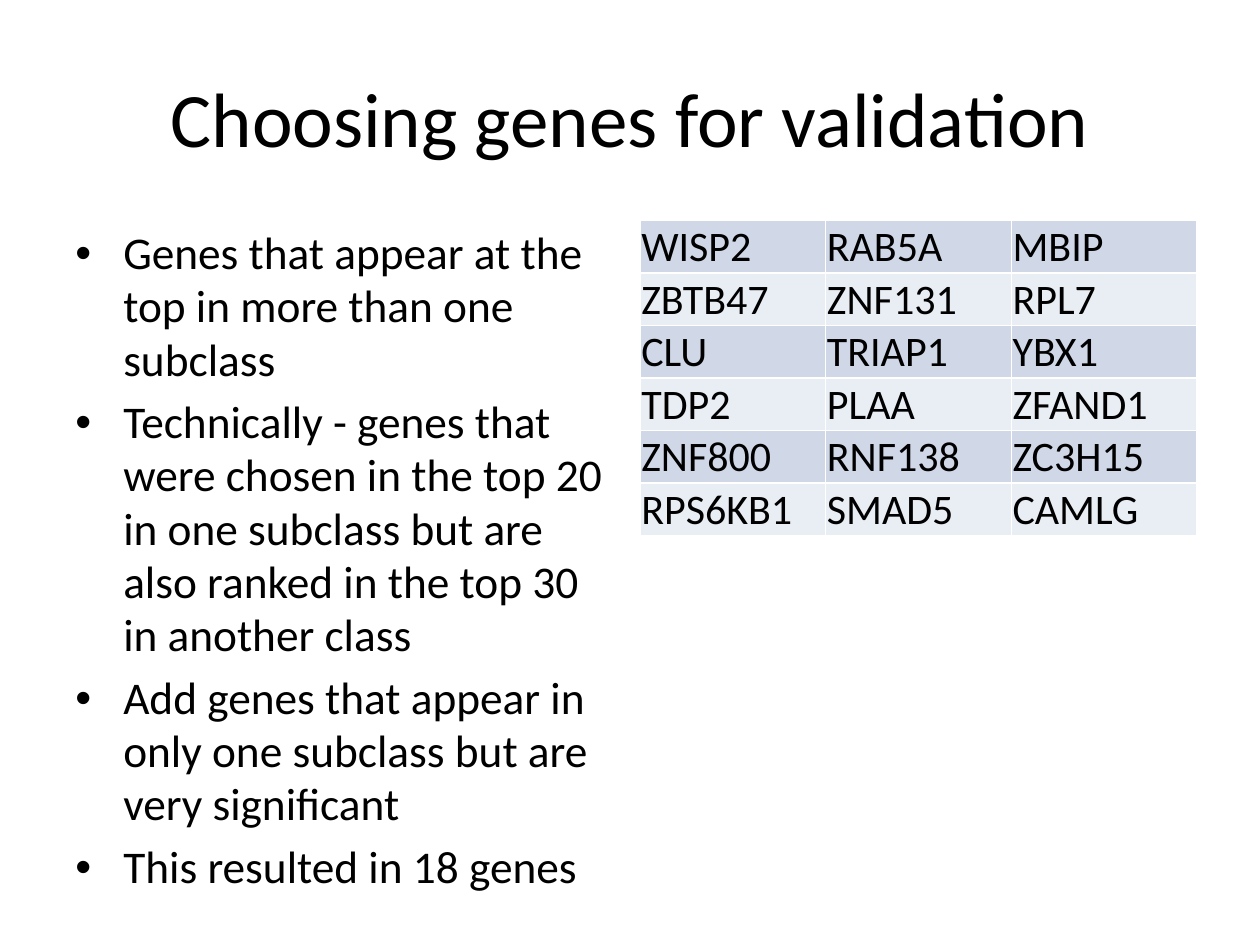
"""Build the slide on choosing genes for validation."""
from dataclasses import dataclass

from lxml.etree import SubElement
from pptx import Presentation
from pptx.dml.color import RGBColor
from pptx.enum.text import MSO_ANCHOR as Anchor, MSO_AUTO_SIZE as AutoSize, PP_ALIGN as Align
from pptx.oxml.ns import qn
from pptx.util import Inches, Pt


@dataclass(frozen=True)
class Theme:
    font: str = "Calibri"
    text: str = "000000"
    border: str = "FFFFFF"
    bands: tuple[str, str] = ("D0D8E8", "E9EDF4")
    title_size: float = 44
    body_size: float = 25.9
    cell_size: float = 24


@dataclass(frozen=True)
class Box:
    left: float
    top: float
    width: float
    height: float

    def lengths(self) -> tuple:
        return tuple(Inches(n) for n in (self.left, self.top, self.width, self.height))


@dataclass(frozen=True)
class GeneRow:
    genes: tuple[str, str, str]


THEME = Theme()
TITLE_BOX = Box(0.5, 0.3, 9, 1.25)
BODY_BOX = Box(0.5, 1.75, 4.42, 4.95)
TABLE_BOX = Box(5.08, 1.75, 4.42, 2.5)
CRITERIA = (
    "Genes that appear at the top in more than one subclass",
    "Technically - genes that were chosen in the top 20 in one subclass "
    "but are also ranked in the top 30 in another class",
    "Add genes that appear in only one subclass but are very significant",
    "This resulted in 18 genes",
)
GENE_ROWS = (
    GeneRow(("WISP2", "RAB5A", "MBIP")),
    GeneRow(("ZBTB47", "ZNF131", "RPL7")),
    GeneRow(("CLU", "TRIAP1", "YBX1")),
    GeneRow(("TDP2", "PLAA", "ZFAND1")),
    GeneRow(("ZNF800", "RNF138", "ZC3H15")),
    GeneRow(("RPS6KB1", "SMAD5", "CAMLG")),
)


def format_runs(paragraph, size: float) -> None:
    for run in paragraph.runs:
        run.font.name = THEME.font
        run.font.size = Pt(size)
        run.font.color.rgb = RGBColor.from_string(THEME.text)


def draw_title(slide, text: str) -> None:
    title = slide.shapes.title
    title.left, title.top, title.width, title.height = TITLE_BOX.lengths()
    text_frame = title.text_frame
    text_frame.text = text
    text_frame.vertical_anchor = Anchor.MIDDLE
    text_frame.paragraphs[0].alignment = Align.CENTER
    format_runs(text_frame.paragraphs[0], THEME.title_size)


def add_bullet(paragraph) -> None:
    properties = paragraph._p.get_or_add_pPr()
    indent = Inches(0.38)
    properties.set("marL", str(indent))
    properties.set("indent", str(-indent))
    SubElement(properties, qn("a:buFont"), typeface="Arial")
    SubElement(properties, qn("a:buChar"), char="•")


def draw_criteria(slide, criteria: tuple[str, ...]) -> None:
    text_frame = slide.shapes.add_textbox(*BODY_BOX.lengths()).text_frame
    text_frame.word_wrap = True
    text_frame.auto_size = AutoSize.NONE
    text_frame.text = "\n".join(criteria)
    for paragraph in text_frame.paragraphs:
        paragraph.space_before = Pt(5.2)
        paragraph.line_spacing = 0.98
        add_bullet(paragraph)
        format_runs(paragraph, THEME.body_size)


def add_borders(cell) -> None:
    properties = cell._tc.get_or_add_tcPr()
    for position, side in enumerate(("lnL", "lnR", "lnT", "lnB")):
        line = properties.makeelement(qn(f"a:{side}"), {"w": str(Pt(1))})
        fill = SubElement(line, qn("a:solidFill"))
        SubElement(fill, qn("a:srgbClr"), val=THEME.border)
        properties.insert(position, line)


def draw_cell(cell, text: str, color: str) -> None:
    cell.margin_left = cell.margin_right = cell.margin_top = Inches(0.01)
    cell.margin_bottom = 0
    cell.vertical_anchor = Anchor.BOTTOM
    cell.fill.solid()
    cell.fill.fore_color.rgb = RGBColor.from_string(color)
    add_borders(cell)
    cell.text_frame.text = text
    format_runs(cell.text_frame.paragraphs[0], THEME.cell_size)


def draw_gene_table(slide, rows: tuple[GeneRow, ...]) -> None:
    shape = slide.shapes.add_table(len(rows), len(rows[0].genes), *TABLE_BOX.lengths())
    table = shape.table
    table.first_row = False
    for row_index, row in enumerate(rows):
        color = THEME.bands[row_index % len(THEME.bands)]
        for column_index, gene in enumerate(row.genes):
            draw_cell(table.cell(row_index, column_index), gene, color)


def main() -> None:
    presentation = Presentation()
    presentation.slide_width = Inches(10)
    presentation.slide_height = Inches(7.5)
    slide = presentation.slides.add_slide(presentation.slide_layouts.get_by_name("Title Only"))
    draw_title(slide, "Choosing genes for validation")
    draw_criteria(slide, CRITERIA)
    draw_gene_table(slide, GENE_ROWS)
    presentation.save("out.pptx")


if __name__ == "__main__":
    main()
